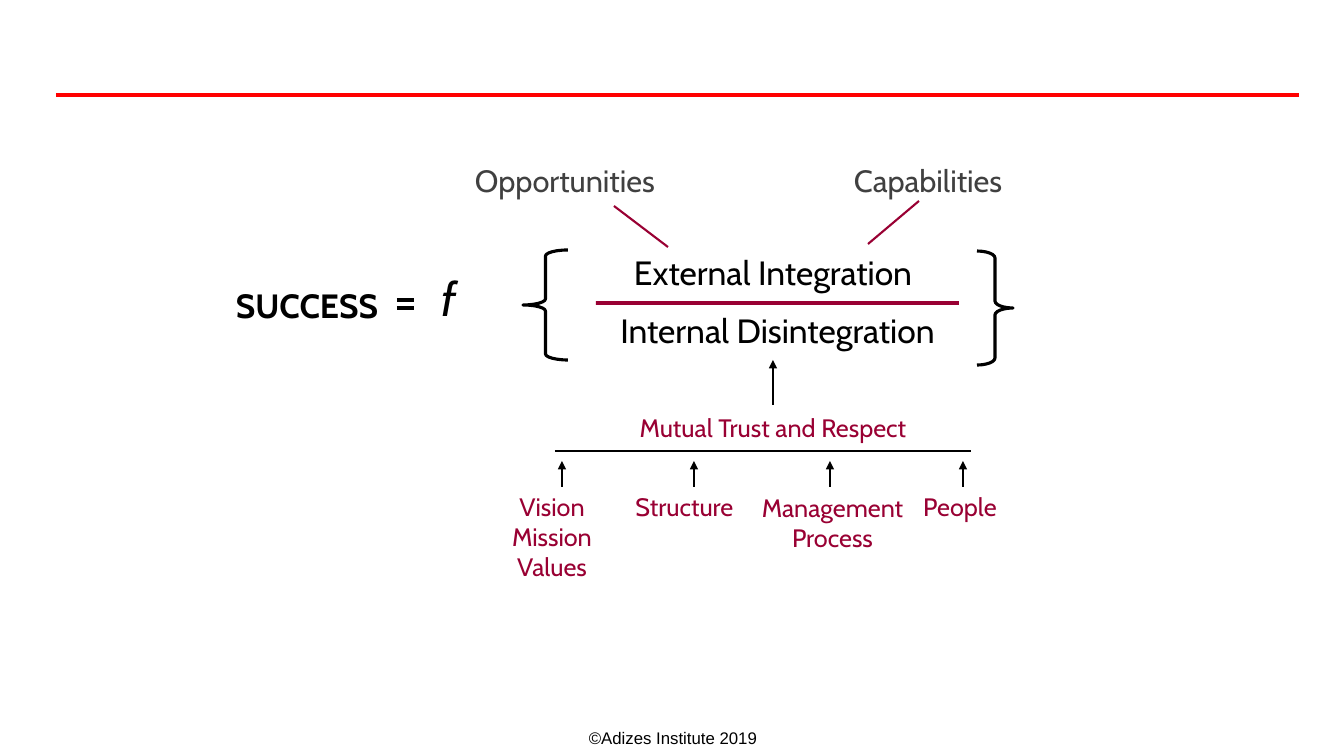
import pptx
import pptx.util
import pptx.dml.color
import pptx.enum.shapes
import pptx.enum.text
import pptx.oxml.ns
from dataclasses import dataclass
from lxml import etree

ALIGN = pptx.enum.text.PP_ALIGN
ANCHOR = pptx.enum.text.MSO_ANCHOR
SHAPE = pptx.enum.shapes.MSO_SHAPE


@dataclass(frozen=True)
class Theme:
    font: str = "Cabin"
    footer_font: str = "Arial"
    black: str = "000000"
    white: str = "FFFFFF"
    grey: str = "404040"
    wine: str = "990033"
    red: str = "FF0000"
    function: int = 34
    formula: int = 24
    driver: int = 22
    factor: int = 18
    footer: int = 12


THEME = Theme()

# Content: text with its box (left, top, width, height) in px
SUCCESS = ("SUCCESS", (198, 280, 190, 41))
FUNCTION = ("f", (432, 264, 64, 68))
FRACTION = [
    ("External Integration", (569, 239, 408, 67)),
    ("Internal Disintegration", (569, 297, 417, 67)),
]
DRIVERS = [
    ("Opportunities", (465, 147, 263, 67)),
    ("Capabilities", (844, 147, 263, 67)),
]
TRUST = ("Mutual Trust and Respect", (546, 407, 454, 44))
# Text, box and x of the arrow above it
FACTORS = [
    ("Vision\nMission\nValues", (480, 486, 144, 102), 562),
    ("Structure", (606, 486, 157, 40), 694),
    ("Management Process", (744, 487, 177, 72), 830),
    ("People", (889, 486, 142, 40), 963),
]
FOOTER = ("©Adizes Institute 2019", (449, 724, 448, 30))

# Start x, start y, end x, end y in px
HEADER_RULE = (56, 95, 1299, 95)
DRIVER_LINES = [(614, 206, 668, 247), (919, 201, 868, 244)]
TRUST_RULE = (555, 451, 971, 451)
TRUST_ARROW = (773, 405, 773, 360)
EQUALS_LEFT, EQUALS_RIGHT, EQUALS_ROWS = 397, 414, (300, 308)
FACTOR_ARROW_START, FACTOR_ARROW_END = 487, 461

FRACTION_BAR = (596, 301, 363, 4)
BRACES = [
    (SHAPE.LEFT_BRACE, (523, 250, 45, 110), 0.135),
    (SHAPE.RIGHT_BRACE, (977, 251, 36, 114), 0.195),
]


def px(length):
    return round(length * 914400 / 100.8)


def colour(value):
    return pptx.dml.color.RGBColor.from_string(value)


def add_text(page, content, size, ink, align=ALIGN.CENTER, anchor=ANCHOR.TOP,
             font=THEME.font, bold=False, italic=False):
    text, place = content
    box = page.shapes.add_textbox(*map(px, place))
    frame = box.text_frame
    frame.word_wrap = True
    frame.vertical_anchor = anchor
    frame.text = text
    for para in frame.paragraphs:
        para.alignment = align
        for span in para.runs:
            span.font.name = font
            span.font.size = pptx.util.Pt(size)
            span.font.bold = bold
            span.font.italic = italic
            span.font.color.rgb = colour(ink)
    return box


def add_line(page, ends, ink, width, arrow=False):
    line = page.shapes.add_connector(
        pptx.enum.shapes.MSO_CONNECTOR.STRAIGHT, *map(px, ends))
    line.line.color.rgb = colour(ink)
    line.line.width = pptx.util.Pt(width)
    qn = pptx.oxml.ns.qn
    if arrow:
        etree.SubElement(line.line._get_or_add_ln(), qn("a:tailEnd"), type="triangle")
    etree.SubElement(line._element.spPr, qn("a:effectLst"))


def add_plain_shape(page, kind, place):
    shape = page.shapes.add_shape(kind, *map(px, place))
    shape.shadow.inherit = False
    return shape


def build_page(page):
    # Header rule and footer
    add_line(page, HEADER_RULE, THEME.red, 3)
    footer = add_text(page, FOOTER, THEME.footer, THEME.black, font=THEME.footer_font)
    footer.text_frame.margin_top = px(6)
    footer.text_frame.paragraphs[0].line_spacing = 0.93

    # Left side of the formula
    success = add_text(page, SUCCESS, THEME.formula, THEME.black, ALIGN.RIGHT, bold=True)
    success.fill.solid()
    success.fill.fore_color.rgb = colour(THEME.white)
    for row in EQUALS_ROWS:
        add_line(page, (EQUALS_LEFT, row, EQUALS_RIGHT, row), THEME.black, 2.25)
    add_text(page, FUNCTION, THEME.function, THEME.black, ALIGN.LEFT, italic=True)

    # Fraction in braces
    for content in FRACTION:
        add_text(page, content, THEME.formula, THEME.black, anchor=ANCHOR.MIDDLE)
    bar = add_plain_shape(page, SHAPE.RECTANGLE, FRACTION_BAR)
    bar.fill.solid()
    bar.fill.fore_color.rgb = colour(THEME.wine)
    bar.line.fill.background()
    for kind, place, curve in BRACES:
        brace = add_plain_shape(page, kind, place)
        brace.adjustments[0] = curve
        brace.fill.background()
        brace.line.color.rgb = colour(THEME.black)
        brace.line.width = pptx.util.Pt(2.25)

    # Drivers of external integration
    for content, ends in zip(DRIVERS, DRIVER_LINES):
        add_text(page, content, THEME.driver, THEME.grey, ALIGN.LEFT, ANCHOR.MIDDLE)
        add_line(page, ends, THEME.wine, 1.5)

    # Trust and the factors that feed it
    add_line(page, TRUST_ARROW, THEME.black, 1.25, arrow=True)
    add_text(page, TRUST, THEME.factor, THEME.wine)
    add_line(page, TRUST_RULE, THEME.black, 1.5)
    for text, place, x in FACTORS:
        add_text(page, (text, place), THEME.factor, THEME.wine)
        add_line(page, (x, FACTOR_ARROW_START, x, FACTOR_ARROW_END),
                 THEME.black, 1.25, arrow=True)


def main():
    deck = pptx.Presentation()
    deck.slide_width, deck.slide_height = px(1344), px(756)
    build_page(deck.slides.add_slide(deck.slide_layouts[6]))
    deck.save("out.pptx")


if __name__ == "__main__":
    main()
